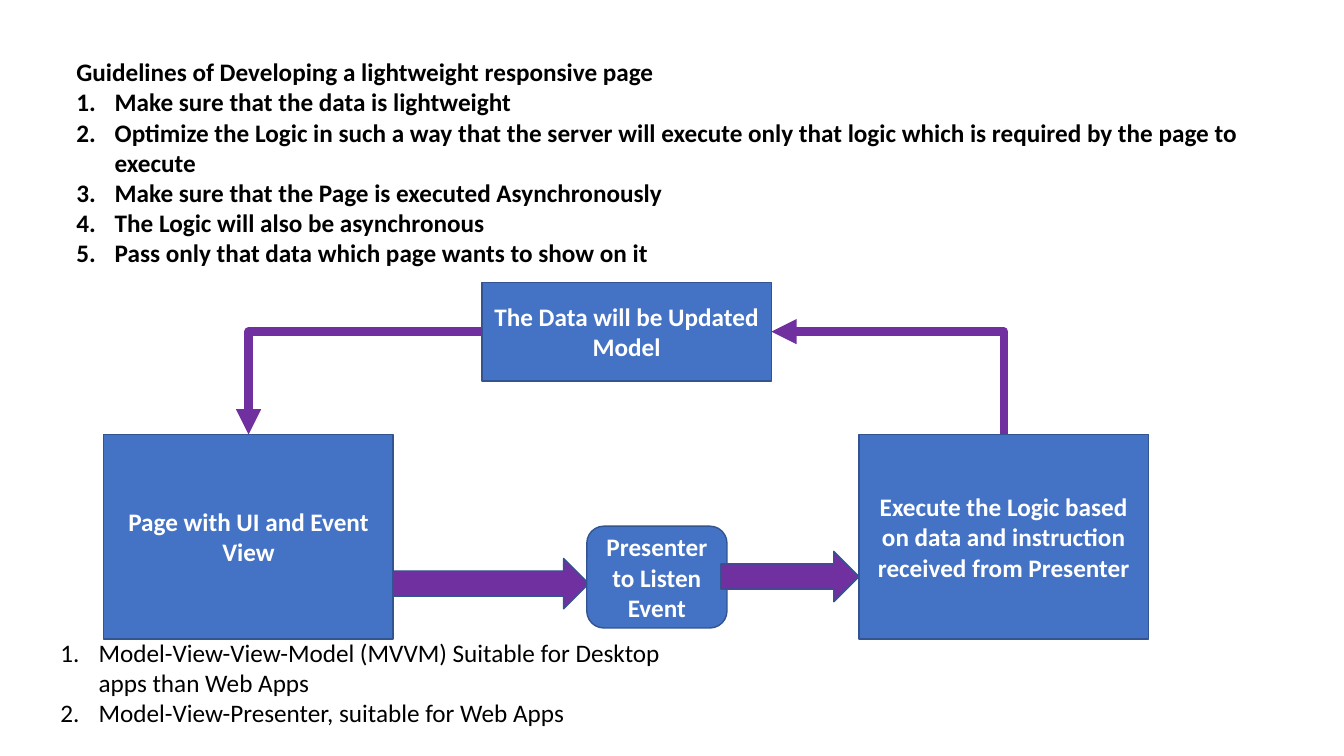
"""Build the slide on guidelines for a lightweight responsive page."""
from lxml import etree
from pptx import Presentation
from pptx.dml.color import RGBColor
from pptx.enum.shapes import MSO_CONNECTOR as Connector, MSO_SHAPE as Shape
from pptx.enum.text import MSO_ANCHOR as Anchor, PP_ALIGN as Align
from pptx.oxml.ns import qn
from pptx.util import Pt

PX = 9144
SLIDE_SIZE = (1333, 750)
NUMBER_INDENT = 38
FONT = "Calibri"
COLORS = {"box": "4472C4", "outline": "325491", "arrow": "7030A0",
          "dark": "000000", "light": "FFFFFF"}

HEADING = "Guidelines of Developing a lightweight responsive page"
GUIDELINES = [
    "Make sure that the data is lightweight",
    "Optimize the Logic in such a way that the server will execute only that "
    "logic which is required by the page to execute",
    "Make sure that the Page is executed Asynchronously",
    "The Logic will also be asynchronous",
    "Pass only that data which page wants to show on it",
]
PATTERNS = [
    "Model-View-View-Model (MVVM) Suitable for Desktop apps than Web Apps",
    "Model-View-Presenter, suitable for Web Apps",
]
VIEW = (103, 431, 287, 203)
LOGIC = (852, 431, 287, 203)
MODEL = (478, 280, 287, 98)
PRESENTER = (582, 522, 139, 101)

SHAPES = [
    (Shape.RECTANGLE, VIEW, "box", ["Page with UI and Event", "View"]),
    (Shape.RIGHT_ARROW, (390, 554, 194, 50), "arrow", []),
    (Shape.RECTANGLE, LOGIC, "box",
     ["Execute the Logic based on data and instruction received from Presenter"]),
    (Shape.RECTANGLE, MODEL, "box", ["The Data will be Updated", "Model"]),
    (Shape.ROUNDED_RECTANGLE, PRESENTER, "box", ["Presenter to Listen Event"]),
    (Shape.RIGHT_ARROW, (715, 547, 137, 50), "arrow", []),
]


def px(*lengths):
    return [round(length * PX) for length in lengths]


def color(name):
    return RGBColor.from_string(COLORS[name])


def write(frame, lines, tint="dark", bold=False, align=Align.LEFT, numbered_from=None):
    frame.word_wrap = True
    for index, line in enumerate(lines):
        paragraph = frame.paragraphs[0] if index == 0 else frame.add_paragraph()
        paragraph.alignment = align
        run = paragraph.add_run()
        run.text = line
        run.font.name, run.font.size, run.font.bold = FONT, Pt(18), bold
        run.font.color.rgb = color(tint)
        if numbered_from is not None and index >= numbered_from:
            properties = paragraph._p.get_or_add_pPr()
            indent = NUMBER_INDENT * PX
            properties.set("marL", str(indent))
            properties.set("indent", str(-indent))
            etree.SubElement(properties, qn("a:buFont"), typeface="+mj-lt")
            etree.SubElement(properties, qn("a:buAutoNum"), type="arabicPeriod")


def add_text(slide, box, lines, **text_format):
    write(slide.shapes.add_textbox(*px(*box)).text_frame, lines, **text_format)


def add_block(slide, kind, box, fill, lines):
    shape = slide.shapes.add_shape(kind, *px(*box))
    shape.shadow.inherit = False
    shape.fill.solid()
    shape.fill.fore_color.rgb = color(fill)
    shape.line.color.rgb = color("outline")
    shape.line.width = Pt(1)
    shape.text_frame.vertical_anchor = Anchor.MIDDLE
    write(shape.text_frame, lines, tint="light", bold=True, align=Align.CENTER)


def add_bent_arrow(slide, start, end, upward_first=False):
    """Join two points by one right-angled bend, running leftwards."""
    width, height = abs(end[0] - start[0]), abs(end[1] - start[1])
    center_x, center_y = (start[0] + end[0]) / 2, (start[1] + end[1]) / 2
    if upward_first:
        width, height = height, width
    left, top = center_x - width / 2, center_y - height / 2
    connector = slide.shapes.add_connector(
        Connector.ELBOW, *px(left, top, left + width, top + height))
    connector.line.color.rgb = color("arrow")
    connector.line.width = Pt(6)
    properties = connector._element.spPr
    frame = properties.find(qn("a:xfrm"))
    frame.set("rot", str((270 if upward_first else 180) * 60000))
    frame.set("flipV", "1")
    properties.find(qn("a:prstGeom")).set("prst", "bentConnector2")
    etree.SubElement(properties.find(qn("a:ln")), qn("a:tailEnd"), type="triangle")
    etree.SubElement(properties, qn("a:effectLst"))


def middle_top(box):
    return box[0] + box[2] / 2, box[1]


def main():
    presentation = Presentation()
    presentation.slide_width, presentation.slide_height = px(*SLIDE_SIZE)
    slide = presentation.slides.add_slide(presentation.slide_layouts[6])
    add_text(slide, (66, 51, 1187, 222), [HEADING, *GUIDELINES],
             bold=True, numbered_from=1)
    for block in SHAPES:
        add_block(slide, *block)
    model_left, model_top, model_width, model_height = MODEL
    model_middle = model_top + model_height / 2
    add_bent_arrow(slide, middle_top(LOGIC),
                   (model_left + model_width, model_middle), upward_first=True)
    add_bent_arrow(slide, (model_left, model_middle), middle_top(VIEW))
    add_text(slide, (50, 627, 653, 101), PATTERNS, numbered_from=0)
    presentation.save("out.pptx")


if __name__ == "__main__":
    main()
